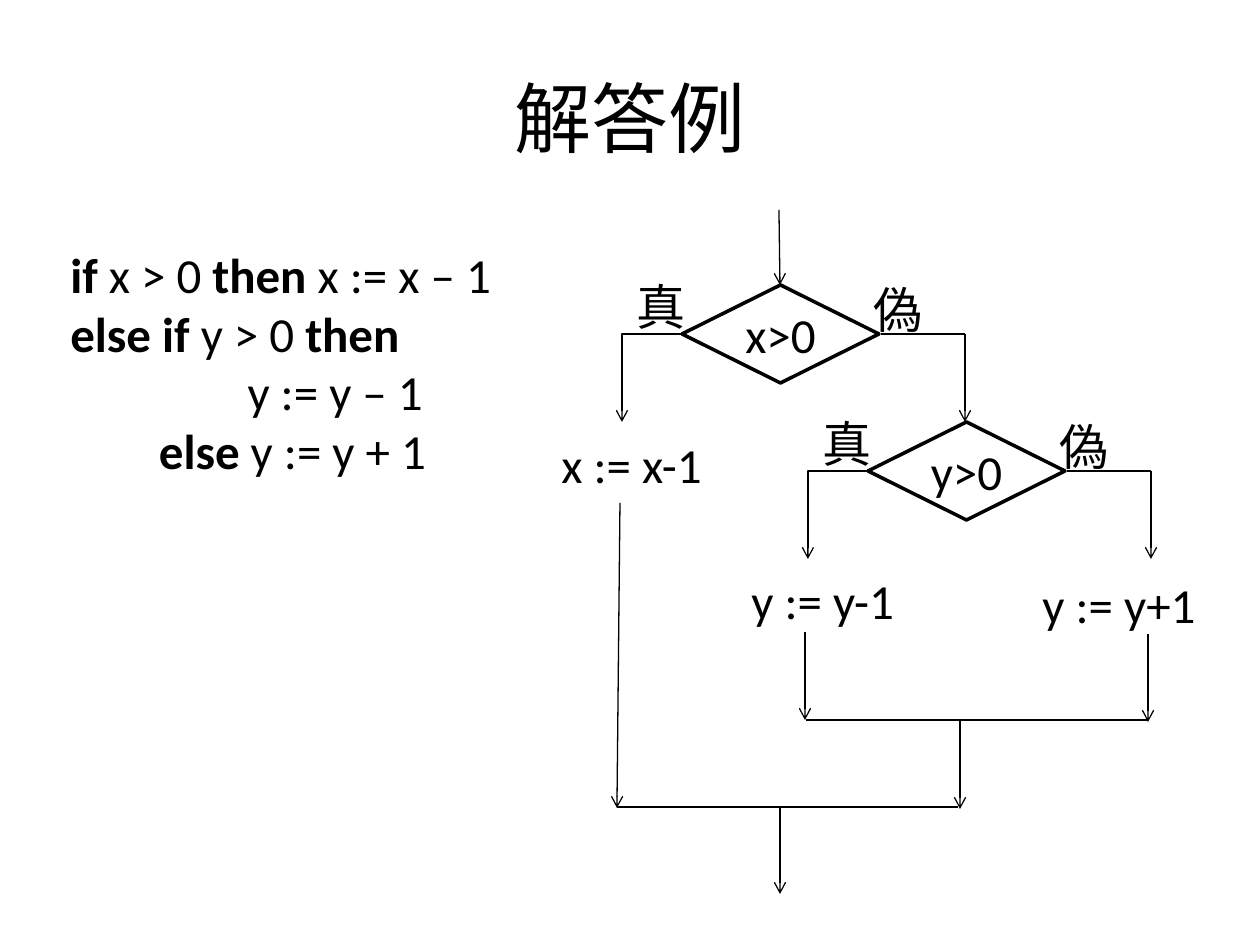
"""Build a slide pairing a nested if statement with its flowchart."""
from lxml import etree
from pptx import Presentation
from pptx import util as u
from pptx.dml.color import RGBColor
from pptx.enum import shapes, text
from pptx.oxml import ns

PX = 914400 / 126
COLORS = {"ink": "000000"}
FONT = "Calibri"

TITLE = "解答例"
CODE = [
    [("if ", True), ("x > 0 ", False), ("then ", True), ("x := x – 1", False)],
    [("else if ", True), ("y > 0 ", False), ("then", True)],
    [("                y := y – 1", False)],
    [("        else ", True), ("y := y + 1", False)],
]
DECISIONS = [("x>0", 682, 285), ("y>0", 868, 422)]
DIAMOND_W, DIAMOND_H = 197, 98
BRANCH_REACH_LEFT, BRANCH_REACH_RIGHT, BRANCH_DROP = 60, 86, 88
ACTIONS = [("x := x-1", 549, 428, 170), ("y := y-1", 739, 564, 172), ("y := y+1", 1030, 568, 181)]
ARROWS = [
    (779, 210, 780, 285),
    (1148, 634, 1148, 722),
    (805, 632, 805, 720),
    (960, 721, 960, 809),
    (620, 503, 617, 808),
    (780, 807, 780, 894),
]
JOINS = [(806, 720, 1147, 720), (617, 807, 958, 807)]


def px(*lengths):
    return [u.Emu(round(length * PX)) for length in lengths]


def style(para, size, bold=False):
    para.font.name = FONT
    para.font.size = u.Pt(size)
    para.font.bold = bold
    para.font.color.rgb = RGBColor.from_string(COLORS["ink"])


def add_text(page, content, left, top, width, height, size=28, wrap=False):
    box = page.shapes.add_textbox(*px(left, top, width, height))
    box.text_frame.text = content
    box.text_frame.word_wrap = wrap
    for para in box.text_frame.paragraphs:
        style(para, size)
    return box


def add_code(page):
    lines = ["".join(words for words, _ in line) for line in CODE]
    box = add_text(page, "\n".join(lines), 58, 238, 454, 251, wrap=True)
    for para, line in zip(box.text_frame.paragraphs, CODE):
        para.text = ""
        for words, bold in line:
            span = para.add_run()
            span.text = words
            style(span, 28, bold)


def add_line(page, ends, arrow=False, bent=False):
    kind = shapes.MSO_CONNECTOR.ELBOW if bent else shapes.MSO_CONNECTOR.STRAIGHT
    line = page.shapes.add_connector(kind, *px(*ends))
    line.line.width = u.Pt(0.75)
    line.line.color.rgb = RGBColor.from_string(COLORS["ink"])
    properties = line._element.spPr
    if bent:
        properties.find(ns.qn("a:prstGeom")).set("prst", "bentConnector2")
    if arrow:
        etree.SubElement(line.line._get_or_add_ln(), ns.qn("a:tailEnd"), type="arrow")
    etree.SubElement(properties, ns.qn("a:effectLst"))


def add_decision(page, condition, left, top):
    diamond = page.shapes.add_shape(
        shapes.MSO_SHAPE.DIAMOND, *px(left, top, DIAMOND_W, DIAMOND_H))
    diamond.shadow.inherit = False
    diamond.fill.background()
    diamond.line.width = u.Pt(2)
    diamond.line.color.rgb = RGBColor.from_string(COLORS["ink"])
    frame = diamond.text_frame
    frame.text = condition
    frame.word_wrap = False
    frame.vertical_anchor = text.MSO_ANCHOR.MIDDLE
    frame.paragraphs[0].alignment = text.PP_ALIGN.CENTER
    style(frame.paragraphs[0], 28)

    middle, right = top + DIAMOND_H // 2, left + DIAMOND_W
    bottom, far_right = middle + BRANCH_DROP, right + BRANCH_REACH_RIGHT
    add_line(page, (left, middle, left - BRANCH_REACH_LEFT, bottom), arrow=True, bent=True)
    add_line(page, (far_right, middle, right + 2, middle))
    add_line(page, (far_right, middle, far_right, bottom), arrow=True)
    add_text(page, "真", left - 58, top - 15, 74, 72)
    add_text(page, "偽", right - 18, top - 12, 74, 72)


def main():
    deck = Presentation()
    deck.slide_width, deck.slide_height = px(1260, 945)
    page = deck.slides.add_slide(deck.slide_layouts[6])
    title = add_text(page, TITLE, 63, 38, 1134, 158, size=44, wrap=True)
    title.text_frame.vertical_anchor = text.MSO_ANCHOR.MIDDLE
    title.text_frame.paragraphs[0].alignment = text.PP_ALIGN.CENTER
    add_code(page)
    for decision in DECISIONS:
        add_decision(page, *decision)
    for action, left, top, width in ACTIONS:
        add_text(page, action, left, top, width, 72)
    for ends in ARROWS:
        add_line(page, ends, arrow=True)
    for ends in JOINS:
        add_line(page, ends)
    deck.save("out.pptx")


if __name__ == "__main__":
    main()
